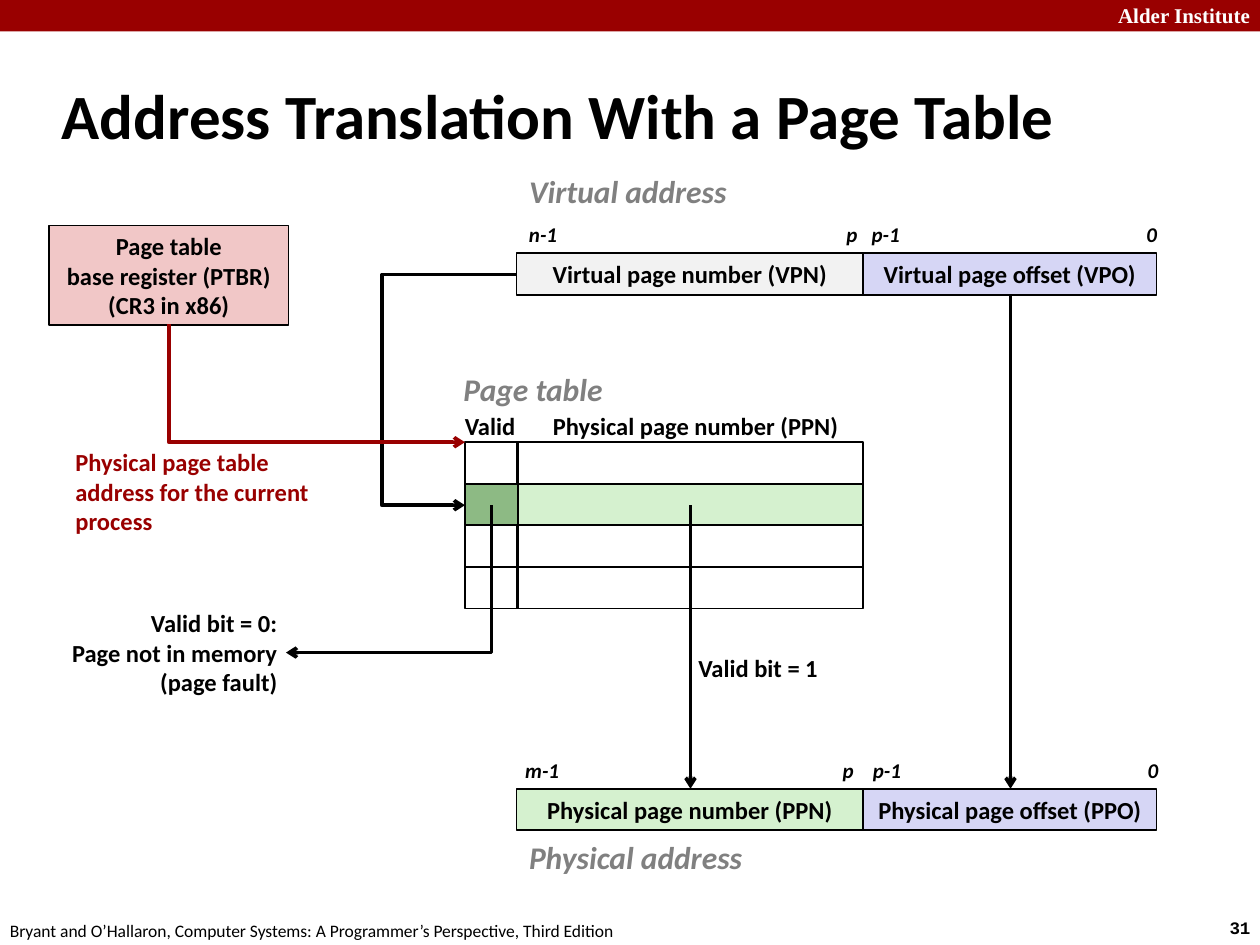
from lxml import etree
from pptx import Presentation
from pptx.dml.color import RGBColor
from pptx.enum.shapes import MSO_CONNECTOR, MSO_SHAPE
from pptx.enum.text import MSO_ANCHOR, MSO_AUTO_SIZE, PP_ALIGN
from pptx.oxml.ns import qn
from pptx.util import Inches, Pt

STRAIGHT, ELBOW = MSO_CONNECTOR.STRAIGHT, MSO_CONNECTOR.ELBOW
RECTANGLE = MSO_SHAPE.RECTANGLE
MIDDLE = MSO_ANCHOR.MIDDLE
NO_FIT, GROW = MSO_AUTO_SIZE.NONE, MSO_AUTO_SIZE.SHAPE_TO_FIT_TEXT
LEFT, CENTER, RIGHT = PP_ALIGN.LEFT, PP_ALIGN.CENTER, PP_ALIGN.RIGHT

BLACK = RGBColor(0x00, 0x00, 0x00)
WHITE = RGBColor(0xFF, 0xFF, 0xFF)
CRIMSON = RGBColor(0x99, 0x00, 0x00)
GRAY = RGBColor(0x80, 0x80, 0x80)
PALE_GRAY = RGBColor(0xF2, 0xF2, 0xF2)
LAVENDER = RGBColor(0xD6, 0xD6, 0xF5)
PALE_GREEN = RGBColor(0xD5, 0xF1, 0xCF)
GREEN = RGBColor(0x8D, 0xBA, 0x84)
PINK = RGBColor(0xF1, 0xC7, 0xC7)

VALID_LEFT, VALID_WIDTH = 3.69, 0.42
NUMBER_LEFT, NUMBER_WIDTH = 4.1, 2.75
OFFSET_LEFT, OFFSET_WIDTH = 6.85, 2.33
ROW_HEIGHT = 0.33
VIRTUAL_TOP, TABLE_TOP, PHYSICAL_TOP = 2.01, 3.51, 6.26
TABLE_ROWS, HIT_ROW = 4, 1
HIT_MIDDLE = 4.01


def write(frame, text, size=14, color=BLACK, align=LEFT, bold=True, italic=False, name="Calibri"):
    """Fill a text frame, one paragraph per line, in one format."""
    frame.text = text
    for para in frame.paragraphs:
        para.alignment = align
        font = para.font
        font.name, font.size, font.bold, font.italic = name, Pt(size), bold, italic
        font.color.rgb = color


def add_label(page, box, text, wrap=False, **style):
    """Add a text box at box (left, top, width, height)."""
    frame = page.shapes.add_textbox(*map(Inches, box)).text_frame
    frame.word_wrap = wrap
    frame.auto_size = GROW
    write(frame, text, **style)


def add_caption(page, box, text):
    """Add a gray italic caption."""
    add_label(page, box, text, size=18, color=GRAY, italic=True)


def add_box(page, box, fill=None, text="", outlined=True):
    """Add a rectangle with optional fill, outline and centred text."""
    shape = page.shapes.add_shape(RECTANGLE, *map(Inches, box))
    shape.shadow.inherit = False
    if fill is None:
        shape.fill.background()
    else:
        shape.fill.solid()
        shape.fill.fore_color.rgb = fill
    if outlined:
        shape.line.color.rgb = BLACK
        shape.line.width = Pt(1)
    else:
        shape.line.fill.background()
    if text:
        frame = shape.text_frame
        frame.margin_left = frame.margin_right = 0
        frame.vertical_anchor = MIDDLE
        write(frame, text, align=CENTER)


def add_arrow(page, start, end, kind=STRAIGHT, color=BLACK, arrow_at="tailEnd"):
    """Add a connector with an open arrowhead and return it."""
    connector = page.shapes.add_connector(kind, *map(Inches, start + end))
    connector.line.color.rgb = color
    connector.line.width = Pt(2)
    etree.SubElement(connector.line._get_or_add_ln(), qn("a:" + arrow_at), type="arrow")
    etree.SubElement(connector._element.spPr, qn("a:effectLst"))
    return connector


def add_corner_arrow(page, target, source, color=BLACK):
    """Add a one-bend arrow that leaves source vertically and reaches target sideways."""
    connector = add_arrow(page, target, source, ELBOW, color, "headEnd")
    connector._element.spPr.find(qn("a:prstGeom")).set("prst", "bentConnector2")


def add_detour_arrow(page, start, end, detour):
    """Add a two-bend arrow whose vertical part runs at x = detour."""
    connector = add_arrow(page, start, end, ELBOW)
    ratio = round(100000 * (detour - start[0]) / (end[0] - start[0]))
    guides = connector._element.spPr.find(qn("a:prstGeom")).get_or_add_avLst()
    etree.SubElement(guides, qn("a:gd"), name="adj1", fmla=f"val {ratio}")


def add_frame(page):
    """Add the top band, the footer and the page number."""
    add_box(page, (0, 0, 10, 0.25), CRIMSON, outlined=False)
    add_label(page, (8.34, -0.03, 1.68, 0.3), "Alder Institute", wrap=True,
              size=12, color=WHITE, align=RIGHT, name="Times New Roman")
    add_label(page, (9.66, 7.23, 0.45, 0.27), "31", size=10, name="Courier New")
    add_label(page, (-0.02, 7.25, 5.08, 0.27),
              "Bryant and O’Hallaron, Computer Systems: A Programmer’s Perspective, Third Edition",
              size=10, bold=False)


def add_title(page, box, text):
    """Place and format the title placeholder."""
    title = page.shapes.title
    title.left, title.top, title.width, title.height = map(Inches, box)
    frame = title.text_frame
    frame.auto_size = NO_FIT
    frame.vertical_anchor = MIDDLE
    write(frame, text, size=36)


def add_address(page, top, fields, bits):
    """Add an address: two fields in a row, with bit numbers above."""
    (number, number_fill), (offset, offset_fill) = fields
    add_box(page, (NUMBER_LEFT, top, NUMBER_WIDTH, ROW_HEIGHT), number_fill, number)
    add_box(page, (OFFSET_LEFT, top, OFFSET_WIDTH, ROW_HEIGHT), offset_fill, offset)
    for text, left, width in bits:
        add_label(page, (left, top - 0.3, width, 0.3), text, size=12, italic=True)


def add_page_table(page, top):
    """Add the page table with its caption, column heads and highlighted row."""
    add_caption(page, (3.58, top - 0.62, 1.42, 0.4), "Page table")
    add_label(page, (3.59, top - 0.3, 0.61, 0.34), "Valid")
    add_label(page, (4.29, top - 0.3, 2.48, 0.34), "Physical page number (PPN)")
    for row in range(TABLE_ROWS):
        row_top = top + row * ROW_HEIGHT
        number_fill, valid_fill = (PALE_GREEN, GREEN) if row == HIT_ROW else (None, None)
        add_box(page, (NUMBER_LEFT, row_top, NUMBER_WIDTH, ROW_HEIGHT), number_fill)
        add_box(page, (VALID_LEFT, row_top, VALID_WIDTH, ROW_HEIGHT), valid_fill)


def add_flow(page):
    """Add the arrows and the notes beside them."""
    add_detour_arrow(page, (NUMBER_LEFT, 2.18), (VALID_LEFT, HIT_MIDDLE), 3.03)
    add_arrow(page, (8.02, VIRTUAL_TOP + ROW_HEIGHT), (8.02, PHYSICAL_TOP))
    add_arrow(page, (5.48, HIT_MIDDLE), (5.48, PHYSICAL_TOP))
    add_corner_arrow(page, (2.27, 5.18), (3.9, HIT_MIDDLE))
    add_corner_arrow(page, (VALID_LEFT, TABLE_TOP), (1.34, 2.57), CRIMSON)
    add_label(page, (0.5, 3.5, 2.08, 0.81),
              "Physical page table\naddress for the current\nprocess", color=CRIMSON)
    add_label(page, (0.44, 4.78, 1.86, 0.81),
              "Valid bit = 0:\nPage not in memory\n(page fault)", align=RIGHT)
    add_label(page, (5.42, 5.13, 1.17, 0.34), "Valid bit = 1", align=RIGHT)


def main():
    """Build the slide and save the deck."""
    deck = Presentation()
    deck.slide_width, deck.slide_height = Inches(10), Inches(7.5)
    page = deck.slides.add_slide(deck.slide_layouts[5])
    add_frame(page)
    add_title(page, (0.39, 0.49, 8.3, 0.83), "Address Translation With a Page Table")
    add_caption(page, (4.1, 1.32, 1.78, 0.4), "Virtual address")
    add_address(page, VIRTUAL_TOP,
                [("Virtual page number (VPN)", PALE_GRAY), ("Virtual page offset (VPO)", LAVENDER)],
                [("n-1", 4.1, 0.47), ("p", 6.62, 0.33), ("p-1", 6.82, 0.47), ("0", 9, 0.33)])
    add_page_table(page, TABLE_TOP)
    add_address(page, PHYSICAL_TOP,
                [("Physical page number (PPN)", PALE_GREEN), ("Physical page offset (PPO)", LAVENDER)],
                [("m-1", 4.07, 0.51), ("p", 6.59, 0.33), ("p-1", 6.83, 0.47), ("0", 9.01, 0.33)])
    add_caption(page, (4.1, 6.6, 1.91, 0.4), "Physical address")
    add_box(page, (0.39, 1.79, 1.9, 0.79), PINK,
            "Page table\vbase register (PTBR)\n(CR3 in x86)")
    add_flow(page)
    deck.save("out.pptx")


if __name__ == "__main__":
    main()
